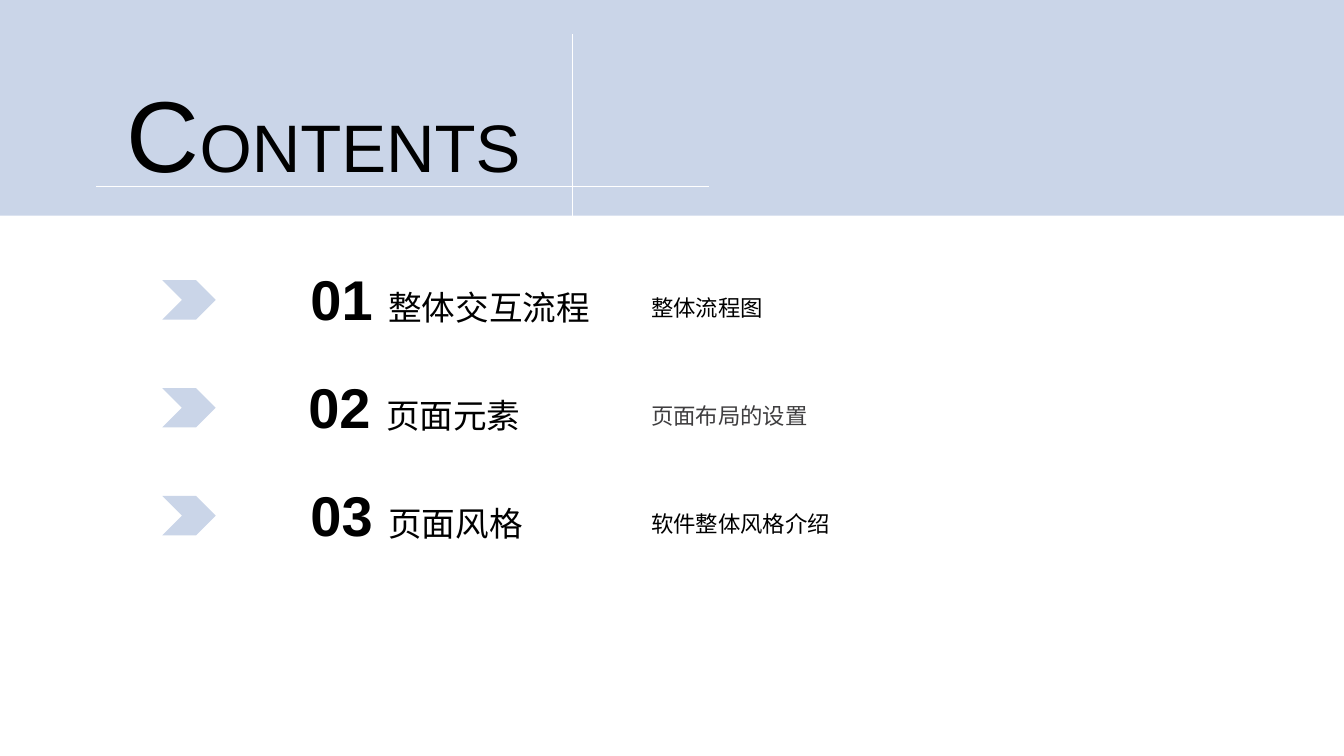
import pptx
import pptx.dml.color
import pptx.enum.shapes
import pptx.enum.text
import pptx.oxml
import pptx.util
from pptx.util import Inches

FONT = "Arial"
COLORS = {"band": "CAD5E8", "line": "FFFFFF", "text": "000000", "soft": "3F3E40"}

# number, left edge, heading, detail, detail colour
ROWS = [
    ("01", 2.98, "整体交互流程", "整体流程图", "text"),
    ("02", 2.96, "页面元素", "页面布局的设置", "soft"),
    ("03", 2.98, "页面风格", "软件整体风格介绍", "text"),
]
ROW_TOP, ROW_PITCH = 2.58, 1.07
HEADING_RIGHT = 6.19


def rgb(name):
    return pptx.dml.color.RGBColor.from_string(COLORS[name])


def add_block(s, kind, left, top, width, height):
    sp = s.shapes.add_shape(kind, Inches(left), Inches(top), Inches(width), Inches(height))
    sp.shadow.inherit = False
    sp.fill.solid()
    sp.fill.fore_color.rgb = rgb("band")
    sp.line.fill.background()


def add_line(s, x1, y1, x2, y2):
    line = s.shapes.add_connector(
        pptx.enum.shapes.MSO_CONNECTOR.STRAIGHT,
        Inches(x1), Inches(y1), Inches(x2), Inches(y2))
    line.line.color.rgb = rgb("line")
    line.line.width = pptx.util.Pt(1)
    line._element.spPr.append(pptx.oxml.parse_xml(
        '<a:effectLst xmlns:a="http://schemas.openxmlformats.org/drawingml/2006/main"/>'))


def add_text(s, left, top, width, height, runs, color="text", align=None):
    """Each run is (text, size, bold)."""
    sp = s.shapes.add_textbox(Inches(left), Inches(top), Inches(width), Inches(height))
    tf = sp.text_frame
    tf.word_wrap = True
    tf.auto_size = pptx.enum.text.MSO_AUTO_SIZE.SHAPE_TO_FIT_TEXT
    p = tf.paragraphs[0]
    p.alignment = align
    for text, size, bold in runs:
        r = p.add_run()
        r.text = text
        r.font.name = FONT
        r.font.size = pptx.util.Pt(size)
        r.font.bold = bold
        r.font.color.rgb = rgb(color)


def add_row(s, top, number, left, heading, detail, color):
    add_block(s, pptx.enum.shapes.MSO_SHAPE.CHEVRON, 1.61, top + 0.2, 0.53, 0.39)
    add_text(s, left, top, HEADING_RIGHT - left, 0.77,
             [(number + " ", 40, True), (heading, 24, False)])
    add_text(s, 6.36, top + 0.29, 5.5, 0.37, [(detail, 16, False)], color)


def main():
    prs = pptx.Presentation()
    prs.slide_width, prs.slide_height = Inches(13.33), Inches(7.5)
    s = prs.slides.add_slide(prs.slide_layouts[6])

    # Title band
    add_block(s, pptx.enum.shapes.MSO_SHAPE.RECTANGLE, 0, 0, 13.33, 2.14)
    add_text(s, 1.16, 0.66, 4.2, 1.31, [("C", 72, False), ("ONTENTS", 48, False)],
             align=pptx.enum.text.PP_ALIGN.JUSTIFY)

    # Contents rows
    for i, row in enumerate(ROWS):
        add_row(s, ROW_TOP + i * ROW_PITCH, *row)

    # Crossing lines
    add_line(s, 0.95, 1.85, 7.03, 1.85)
    add_line(s, 5.68, 0.34, 5.68, 2.14)

    prs.save("out.pptx")


if __name__ == "__main__":
    main()
